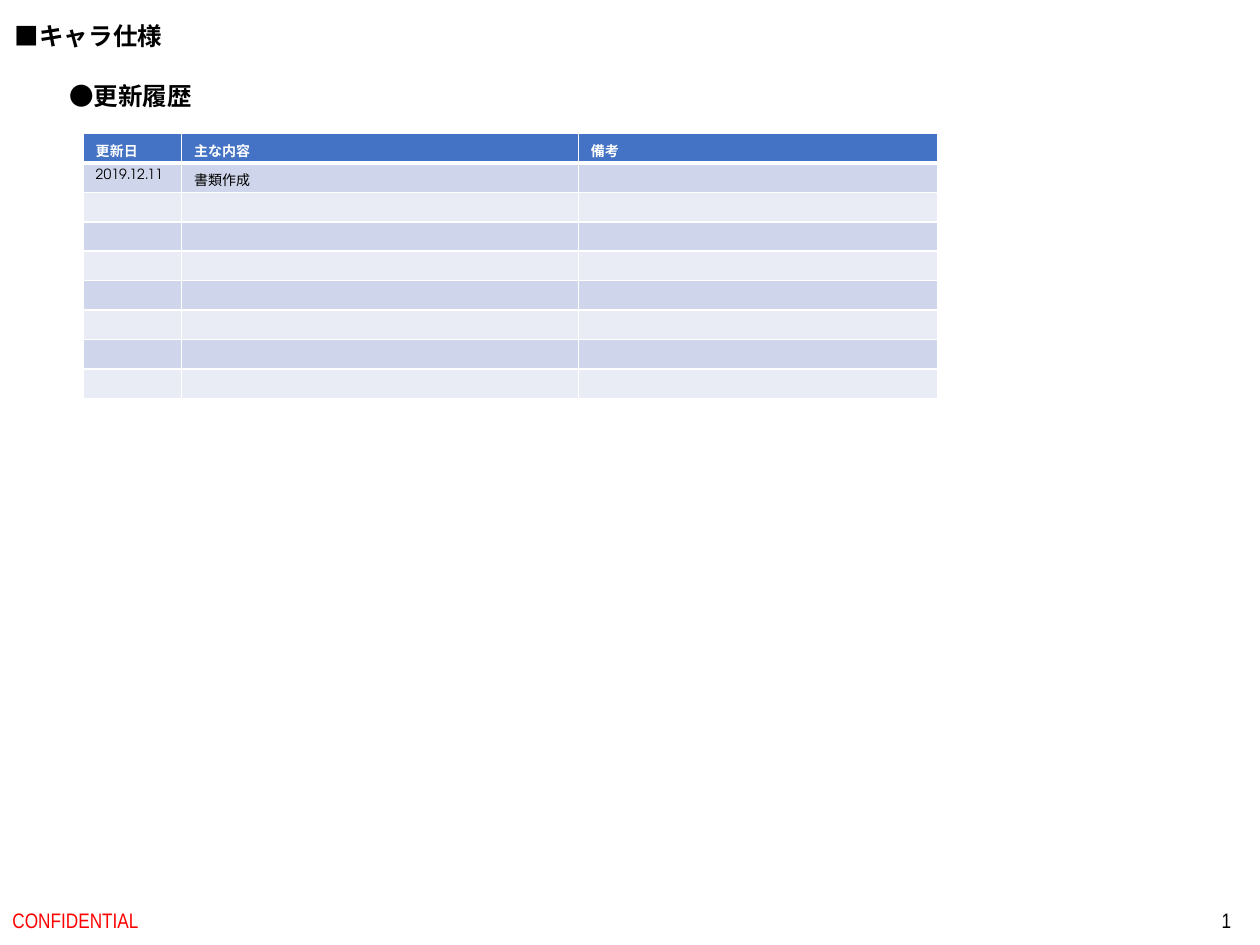
from dataclasses import dataclass

from pptx import Presentation
from pptx.dml.color import RGBColor as RGB
from pptx.enum.text import MSO_ANCHOR as Anchor, MSO_AUTO_SIZE as AutoSize, PP_ALIGN as Align
from pptx.oxml import parse_xml
from pptx.oxml.ns import nsdecls
from pptx.util import Inches, Pt


@dataclass(frozen=True)
class Theme:
    black: str = "000000"
    white: str = "FFFFFF"
    red: str = "FF0000"
    header: str = "4472C4"
    bands: tuple = ("CFD5EA", "E9EBF5")
    body_font: str = "TeX Gyre Adventor"
    title_font: str = "Arial"
    footer_font: str = "Arial Narrow"
    heading_size: int = 14
    footer_size: int = 12
    table_size: int = 8


class Deck:
    def __init__(self, theme):
        self.theme = theme
        self.presentation = Presentation()
        self.presentation.slide_width = Inches(10)
        self.presentation.slide_height = Inches(7.5)
        self.slide = self.presentation.slides.add_slide(self.presentation.slide_layouts[6])

    def style(self, paragraph, font, size, color, bold=False):
        paragraph.font.name = font
        paragraph.font.size = Pt(size)
        paragraph.font.bold = bold
        paragraph.font.color.rgb = RGB.from_string(color)

    def text(self, words, left, top, width, height):
        frame = self.slide.shapes.add_textbox(
            Inches(left), Inches(top), Inches(width), Inches(height)).text_frame
        frame.text = words
        return frame

    def heading(self, words, left, top, width, font):
        frame = self.text(words, left, top, width, 0.34)
        frame.word_wrap = False
        frame.auto_size = AutoSize.SHAPE_TO_FIT_TEXT
        self.style(frame.paragraphs[0], font, self.theme.heading_size, self.theme.black, True)

    def footer(self, words, left, width, color, align):
        frame = self.text(words, left, 7.1, width, 0.4)
        frame.word_wrap = True
        frame.vertical_anchor = Anchor.MIDDLE
        frame.paragraphs[0].alignment = align
        self.style(frame.paragraphs[0], self.theme.footer_font, self.theme.footer_size, color)

    def borders(self, cell, bottom):
        properties = cell._tc.get_or_add_tcPr()
        widths = {"lnL": 1, "lnR": 1, "lnT": 1, "lnB": bottom}
        for position, (side, width) in enumerate(widths.items()):
            properties.insert(position, parse_xml(
                f'<a:{side} {nsdecls("a")} w="{Pt(width)}"><a:solidFill>'
                f'<a:srgbClr val="{self.theme.white}"/></a:solidFill></a:{side}>'))

    def table(self, rows, row_count, left, top, widths, height):
        theme = self.theme
        table = self.slide.shapes.add_table(
            row_count, len(widths), Inches(left), Inches(top),
            Inches(sum(widths)), Inches(height)).table
        for column, width in zip(table.columns, widths):
            column.width = Inches(width)
        for row_index, row in enumerate(table.rows):
            is_header = row_index == 0
            fill = theme.header if is_header else theme.bands[(row_index - 1) % 2]
            words = rows[row_index] if row_index < len(rows) else [""] * len(widths)
            for cell, entry in zip(row.cells, words):
                cell.text = entry
                cell.fill.solid()
                cell.fill.fore_color.rgb = RGB.from_string(fill)
                self.style(cell.text_frame.paragraphs[0], theme.body_font, theme.table_size,
                           theme.white if is_header else theme.black, is_header)
                self.borders(cell, bottom=3 if is_header else 1)


def main():
    theme = Theme()
    deck = Deck(theme)
    deck.heading("■キャラ仕様", 0.02, 0.12, 1.38, theme.title_font)
    deck.footer("CONFIDENTIAL", 0, 3.38, theme.red, Align.LEFT)
    deck.footer("1", 7.62, 2.25, theme.black, Align.RIGHT)
    deck.heading("●更新履歴", 0.45, 0.59, 1.18, theme.body_font)
    history = [
        ["更新日", "主な内容", "備考"],
        ["2019.12.11", "書類作成", ""],
    ]
    deck.table(history, 9, 0.66, 1.06, [0.78, 3.15, 2.85], 2.1)
    deck.presentation.save("out.pptx")


if __name__ == "__main__":
    main()
